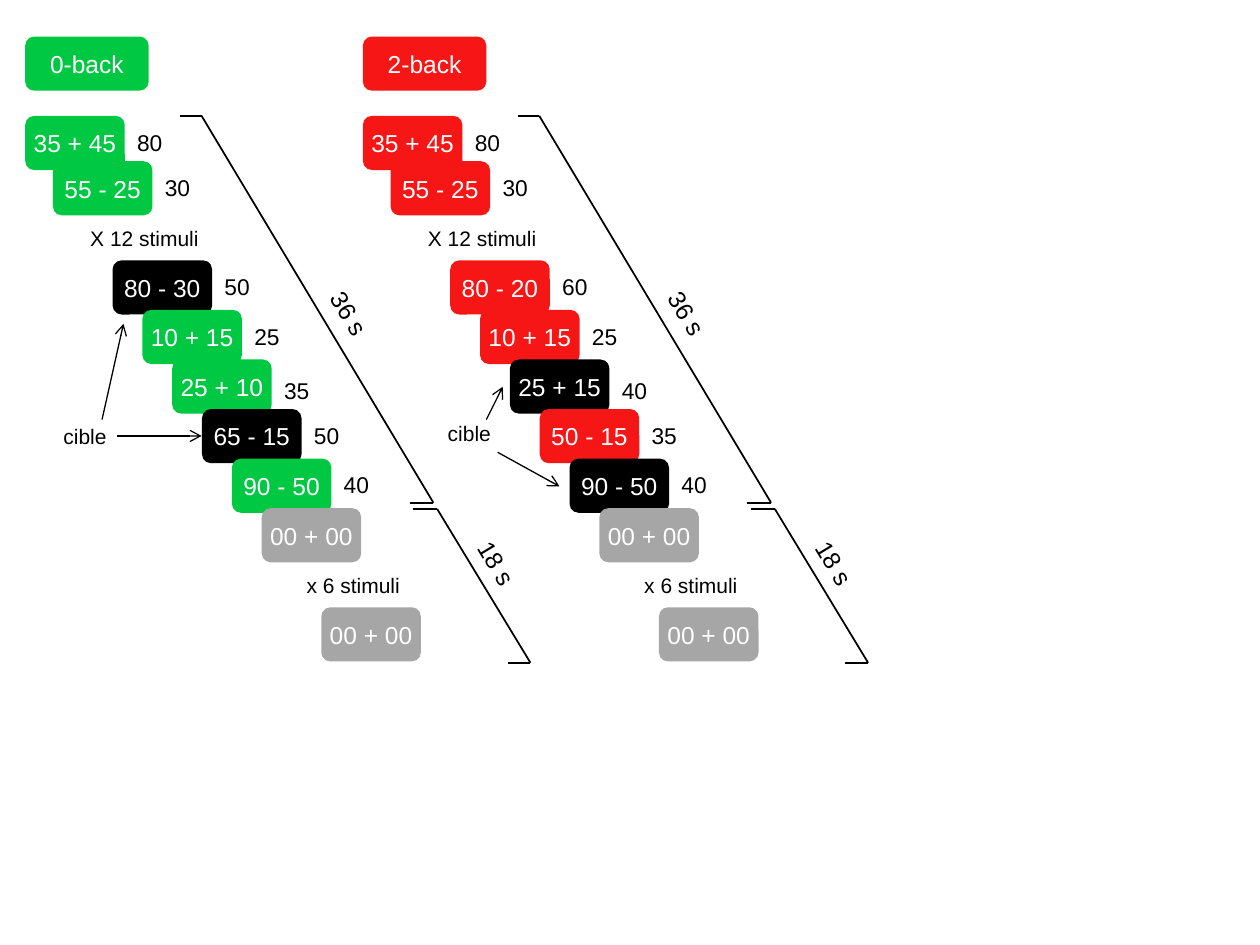
from dataclasses import dataclass

import lxml.etree
import pptx
import pptx.dml.color
import pptx.enum.shapes
import pptx.enum.text
import pptx.oxml.ns
import pptx.util
from pptx.util import Inches


@dataclass(frozen=True)
class Theme:
    font: str = "Arial"
    green: str = "00C843"
    red: str = "F61616"
    target: str = "000000"
    rest: str = "A6A6A6"
    ink: str = "000000"
    paper: str = "FFFFFF"
    sum_size: int = 14
    answer_size: int = 13
    note_size: int = 12
    bracket_width: float = 1
    arrow_width: float = 0.75


theme = Theme()
deck = pptx.Presentation()
deck.slide_width, deck.slide_height = Inches(10), Inches(7.5)
slide = deck.slides.add_slide(deck.slide_layouts[6])


def add_label(text, left, top, width, height, size, fill=None, centred=True):
    """Add a filled rounded card, or a plain text box when there is no fill."""
    place = (Inches(left), Inches(top), Inches(width), Inches(height))
    if fill:
        label = slide.shapes.add_shape(
            pptx.enum.shapes.MSO_SHAPE.ROUNDED_RECTANGLE, *place)
        label.shadow.inherit = False
        label.fill.solid()
        label.fill.fore_color.rgb = pptx.dml.color.RGBColor.from_string(fill)
        label.line.fill.background()
    else:
        label = slide.shapes.add_textbox(*place)
    frame = label.text_frame
    frame.word_wrap = True
    frame.text = text
    paragraph = frame.paragraphs[0]
    if centred:
        frame.vertical_anchor = pptx.enum.text.MSO_ANCHOR.MIDDLE
        frame.margin_left = frame.margin_right = Inches(0.04)
        frame.margin_top = frame.margin_bottom = Inches(0.04)
        paragraph.alignment = pptx.enum.text.PP_ALIGN.CENTER
    paragraph.font.name = theme.font
    paragraph.font.size = pptx.util.Pt(size)
    paragraph.font.color.rgb = pptx.dml.color.RGBColor.from_string(
        theme.paper if fill else theme.ink)
    return label


def add_line(start, end, width, arrow=False):
    line = slide.shapes.add_connector(
        pptx.enum.shapes.MSO_CONNECTOR.STRAIGHT,
        *(Inches(value) for value in (*start, *end)))
    line.line.color.rgb = pptx.dml.color.RGBColor.from_string(theme.ink)
    line.line.width = pptx.util.Pt(width)
    properties = line.element.spPr
    if arrow:
        outline = properties.find(pptx.oxml.ns.qn("a:ln"))
        lxml.etree.SubElement(outline, pptx.oxml.ns.qn("a:tailEnd"), type="arrow")
    lxml.etree.SubElement(properties, pptx.oxml.ns.qn("a:effectLst"))


CARD_WIDTH, CARD_HEIGHT, WIDE_CARD = 0.79, 0.43, 0.98
TASK_SHIFT = 2.68

# The staircase of cards: the first card stands apart, the rest are evenly spaced
STEP_X = (2.55 - 0.42) / 9
STEP_Y = (4.82 - 1.28) / 9
stairs = [(0.2, 0.92)]
stairs += [(0.42 + STEP_X * step, 1.28 + STEP_Y * step) for step in range(10)]

REPEATS = {2: "X 12 stimuli", 9: "x 6 stimuli"}
REST_ROWS = (8, 10)
LOWERED_ANSWER_ROW = 5

# Each task: name, colour, sums and answers by stair row, rows of the targets
tasks = [
    ("0-back", theme.green,
     {0: ("35 + 45", "80"), 1: ("55 - 25", "30"), 3: ("80 - 30", "50"),
      4: ("10 + 15", "25"), 5: ("25 + 10", "35"), 6: ("65 - 15", "50"),
      7: ("90 - 50", "40")},
     (3, 6)),
    ("2-back", theme.red,
     {0: ("35 + 45", "80"), 1: ("55 - 25", "30"), 3: ("80 - 20", "60"),
      4: ("10 + 15", "25"), 5: ("25 + 15", "40"), 6: ("50 - 15", "35"),
      7: ("90 - 50", "40")},
     (5, 7)),
]

# Each bracket: path of its three strokes, then its duration and where it stands
brackets = [
    ([(1.43, 0.92), (1.6, 0.92), (3.44, 3.99), (3.25, 3.99)], "36 s", (2.48, 2.33)),
    ([(3.28, 4.04), (3.47, 4.04), (4.21, 5.26), (4.03, 5.26)], "18 s", (3.65, 4.31)),
]

for task_number, (task, colour, sums, targets) in enumerate(tasks):
    shift = TASK_SHIFT * task_number
    add_label(task, 0.2 + shift, 0.29, WIDE_CARD, CARD_HEIGHT, theme.sum_size, colour)

    for row, (x, top) in enumerate(stairs):
        left = x + shift
        if row in REPEATS:
            add_label(REPEATS[row], left, top, WIDE_CARD, CARD_HEIGHT, theme.note_size)
        elif row in REST_ROWS:
            add_label("00 + 00", left, top, CARD_WIDTH, CARD_HEIGHT,
                      theme.sum_size, theme.rest)
        else:
            expression, answer = sums[row]
            add_label(expression, left, top, CARD_WIDTH, CARD_HEIGHT, theme.sum_size,
                      theme.target if row in targets else colour)
            drop = 0.09 if row == LOWERED_ANSWER_ROW else 0.05
            add_label(answer, left + CARD_WIDTH, top + drop, 0.43, 0.32,
                      theme.answer_size, centred=False)

    for corners, duration, (left, top) in brackets:
        corners = [(x + shift, y) for x, y in corners]
        for start, end in zip(corners, corners[1:]):
            add_line(start, end, theme.bracket_width)
        timing = add_label(duration, left + shift, top, 0.59, 0.34,
                           theme.sum_size, centred=False)
        timing.rotation = 59

# Target captions with the arrows that lead to the black cards
captions = [
    ((0.42, 3.32), [((0.93, 3.46), (1.6, 3.46)), ((0.81, 3.33), (0.98, 2.57))]),
    ((3.47, 3.3), [((3.86, 3.33), (3.99, 3.07)), ((3.95, 3.59), (4.44, 3.86))]),
]
for (left, top), arrows in captions:
    add_label("cible", left, top, 0.51, 0.28, theme.note_size)
    for start, end in arrows:
        add_line(start, end, theme.arrow_width, arrow=True)

deck.save("out.pptx")
